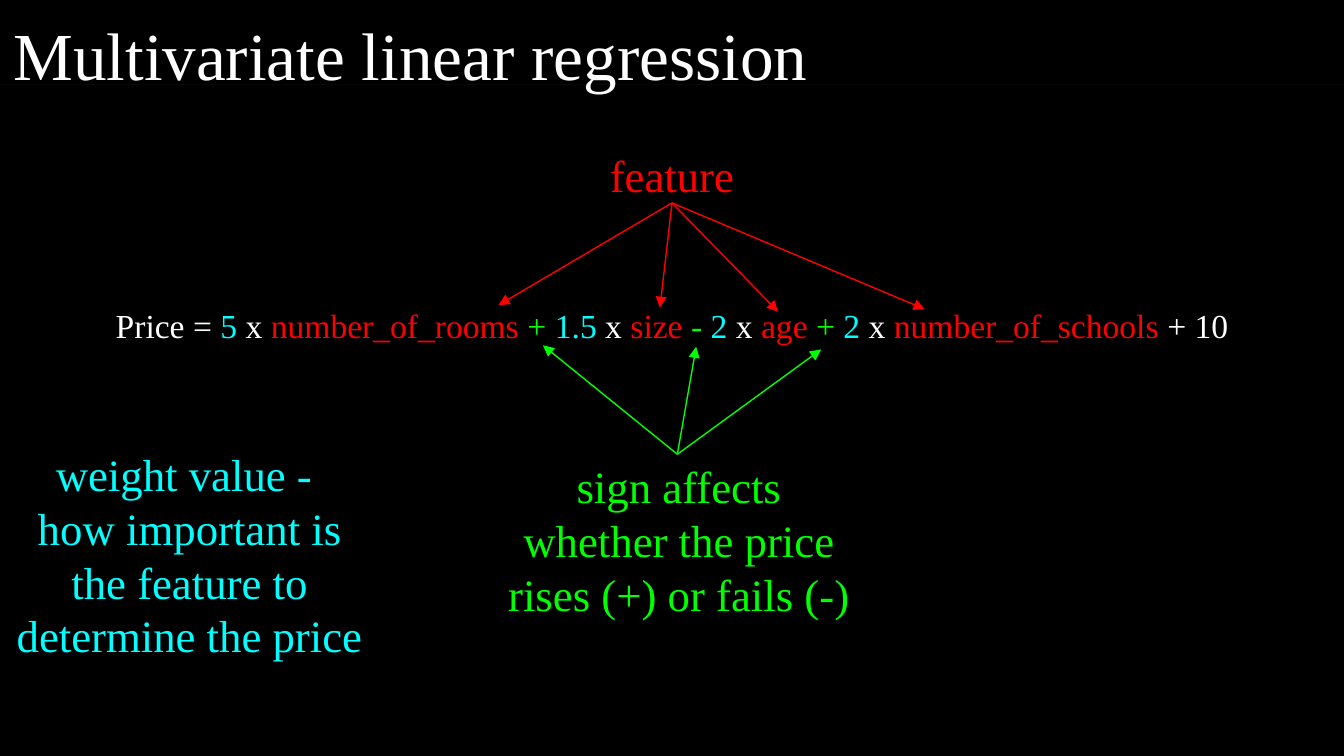
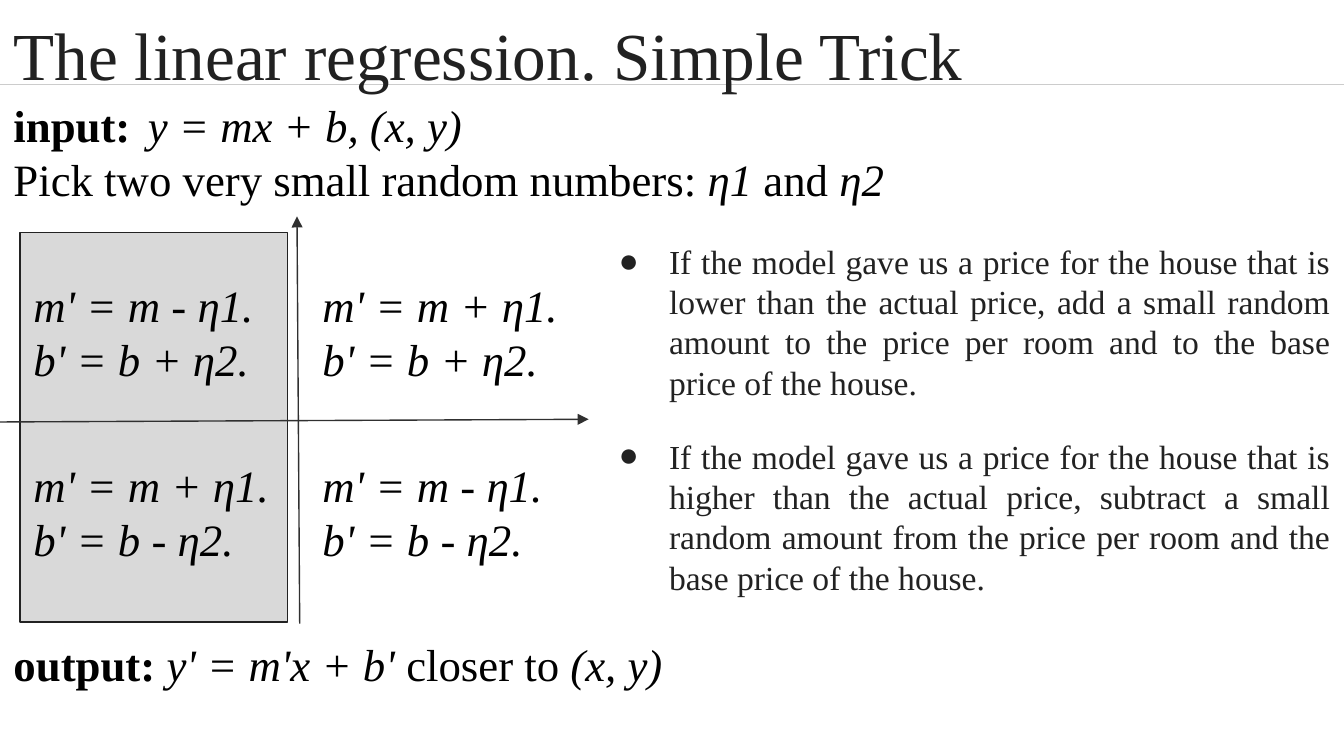
from dataclasses import dataclass
from typing import Optional

from lxml import etree
from pptx import Presentation, util as u
from pptx.dml.color import RGBColor
from pptx.enum import shapes as kinds, text as t
from pptx.oxml import ns

FONT = "Times New Roman"
BLACK = RGBColor(0, 0, 0)
WHITE = RGBColor(255, 255, 255)
RED = RGBColor(255, 0, 0)
GREEN = RGBColor(0, 255, 0)
CYAN = RGBColor(0, 255, 255)
DARK = RGBColor(0x21, 0x21, 0x21)
INK = RGBColor(0x22, 0x22, 0x22)
AXIS = RGBColor(0x30, 0x30, 0x30)
GREY = RGBColor(0xD9, 0xD9, 0xD9)

# Square grid cells: 100 columns by 56.25 rows
COLS, ROWS = 100, 56.25
CELL = u.Inches(0.1)
BAND = 6.3


@dataclass(frozen=True)
class Box:
    col: float
    row: float
    wide: float
    high: float

    def cells(self) -> list:
        return [grid(n) for n in (self.col, self.row, self.wide, self.high)]


@dataclass(frozen=True)
class Run:
    text: str
    color: Optional[RGBColor] = None
    bold: bool = False
    slant: bool = False


@dataclass(frozen=True)
class Fan:
    """Arrows that spread from one point."""
    start: tuple
    ends: tuple
    color: RGBColor


def grid(n: float) -> int:
    return round(n * CELL)


def put(parent, tag: str, **attrs):
    return etree.SubElement(parent, ns.qn(tag), attrs)


def write(shape, paras: list, *, size: float, color: RGBColor,
          align=t.PP_ALIGN.LEFT, anchor=t.MSO_ANCHOR.TOP,
          fit=t.MSO_AUTO_SIZE.NONE, top: float = 1, gaps: tuple = (),
          bullet: str = "") -> None:
    """Fill a shape; a paragraph is a string or a list of runs."""
    frame = shape.text_frame
    frame.word_wrap = True
    frame.auto_size = fit
    frame.vertical_anchor = anchor
    frame.margin_left = frame.margin_right = frame.margin_bottom = CELL
    frame.margin_top = grid(top)
    for i, runs in enumerate(paras):
        para = frame.paragraphs[0] if i == 0 else frame.add_paragraph()
        para.alignment = align
        para.space_before = u.Pt(gaps[i] if i < len(gaps) else 0)
        para.space_after = u.Pt(0)
        mark(para, bullet)
        for part in [Run(runs)] if isinstance(runs, str) else runs:
            run = para.add_run()
            run.text = part.text
            font = run.font
            font.name, font.size = FONT, u.Pt(size)
            font.bold, font.italic = part.bold, part.slant
            font.color.rgb = part.color or color


def mark(para, bullet: str) -> None:
    """Set the indent and bullet of a paragraph."""
    props = para._p.get_or_add_pPr()
    props.set("marL", str(grid(5) if bullet else 0))
    props.set("indent", str(grid(-3.75) if bullet else 0))
    if bullet:
        put(put(props, "a:buClr"), "a:srgbClr", val=str(INK))
        put(props, "a:buFont", typeface=FONT)
        put(props, "a:buChar", char=bullet)
    else:
        put(props, "a:buNone")


def label(shapes, box: Box, paras: list, **style) -> None:
    write(shapes.add_textbox(*box.cells()), paras,
          **{"size": 24, "anchor": t.MSO_ANCHOR.MIDDLE, **style})


def arrow(shapes, start: tuple, end: tuple, color: RGBColor) -> None:
    line = shapes.add_connector(kinds.MSO_CONNECTOR.STRAIGHT,
                                *[grid(n) for n in start + end])
    line.line.color.rgb = color
    line.line.width = u.Pt(0.75)
    put(line.line._get_or_add_ln(), "a:tailEnd", type="triangle")
    put(line.element.spPr, "a:effectLst")


def page(deck, title: str, paper: RGBColor, ink: RGBColor):
    """Add a slide with a title band above a filled body."""
    slide = deck.slides.add_slide(deck.slide_layouts[1])
    slide.background.fill.solid()
    slide.background.fill.fore_color.rgb = DARK
    head, body = slide.shapes.title, slide.placeholders[1]
    body.element.addnext(head.element)
    for shape, box in ((head, Box(0, 0, COLS, BAND)),
                       (body, Box(0, BAND, COLS, ROWS - BAND))):
        shape.left, shape.top, shape.width, shape.height = box.cells()
        shape.fill.solid()
        shape.fill.fore_color.rgb = paper
    write(head, [title], size=36, color=ink)
    return slide.shapes, body


def price(deck) -> None:
    shapes, body = page(deck, "Multivariate linear regression", BLACK, WHITE)
    terms = (("", "5", "number_of_rooms "), ("+ ", "1.5", "size "),
             ("- ", "2", "age "), ("+ ", "2", "number_of_schools "))
    runs = [Run("Price = ")]
    for sign, weight, name in terms:
        if sign:
            runs.append(Run(sign, GREEN))
        runs += [Run(weight, CYAN), Run(" x "), Run(name, RED)]
    runs.append(Run("+ 10"))
    center = t.PP_ALIGN.CENTER
    write(body, [runs], size=18, color=WHITE, align=center, top=16.4)

    label(shapes, Box(44.3, 10.9, 11.4, 4.2), ["feature"],
          color=RED, align=center)
    label(shapes, Box(36.4, 33.8, 28.2, 12.7),
          ["sign affects whether the price rises (+) or fails (-)"],
          color=GREEN, align=center)
    label(shapes, Box(0, 33.8, 28.2, 14.9),
          ["weight value - ",
           "how important is the feature to determine the price"],
          color=CYAN, align=center)
    fans = (
        Fan((50, 15.1), ((37.1, 22.7), (49.1, 22.9), (57.9, 23.2),
                         (68.8, 23)), RED),
        Fan((50.4, 33.8), ((40.4, 25.7), (51.8, 25.8), (61.1, 26)), GREEN),
    )
    for fan in fans:
        for end in fan.ends:
            arrow(shapes, fan.start, end, fan.color)


def trick(deck) -> None:
    shapes, body = page(deck, "The linear regression. Simple Trick",
                        WHITE, DARK)
    write(body, [
        [Run("input:\t", bold=True), Run("y = mx + b, (x, y)", slant=True)],
        [Run("Pick two very small random numbers: "), Run("η1", slant=True),
         Run(" and "), Run("η2", slant=True)],
        [Run("output: ", bold=True), Run("y' = m'x + b' ", slant=True),
         Run("closer to"), Run(" (x, y)", slant=True)],
    ], size=24, color=BLACK, gaps=(0, 0, 231))

    plot = shapes.add_group_shape().shapes
    arrow(plot, (22.3, 46.4), (22.1, 16.1), AXIS)
    left, right, wide = 1.5, 23, 19.9
    shade = plot.add_shape(kinds.MSO_SHAPE.RECTANGLE,
                           *Box(left, 17.3, wide, 29).cells())
    shade.shadow.inherit = False
    shade.fill.solid()
    shade.fill.fore_color.rgb = GREY
    shade.line.color.rgb = INK
    shade.line.width = u.Pt(0.75)
    for row, base in ((20.9, "+"), (34.3, "-")):
        other = "-" if base == "+" else "+"
        for col, slope in ((left, other), (right, base)):
            label(plot, Box(col, row, wide, 7.5),
                  [[Run(f"m' = m {slope} η1.", slant=True)],
                   [Run(f"b' = b {base} η2.", slant=True)]], color=BLACK)
    arrow(plot, (0, 31.4), (43.8, 31.2), AXIS)

    label(shapes, Box(43.8, 16.9, COLS - 43.8, 28.8), [
        "If the model gave us a price for the house that is lower than the "
        "actual price, add a small random amount to the price per room and "
        "to the base price of the house.",
        "If the model gave us a price for the house that is higher than the "
        "actual price, subtract a small random amount from the price per "
        "room and the base price of the house.",
    ], size=18, color=INK, align=t.PP_ALIGN.JUSTIFY, gaps=(0, 18),
        anchor=t.MSO_ANCHOR.TOP, fit=t.MSO_AUTO_SIZE.SHAPE_TO_FIT_TEXT,
        bullet="●")


def main() -> None:
    deck = Presentation()
    deck.slide_width, deck.slide_height = grid(COLS), grid(ROWS)
    price(deck)
    trick(deck)
    deck.save("out.pptx")


if __name__ == "__main__":
    main()
